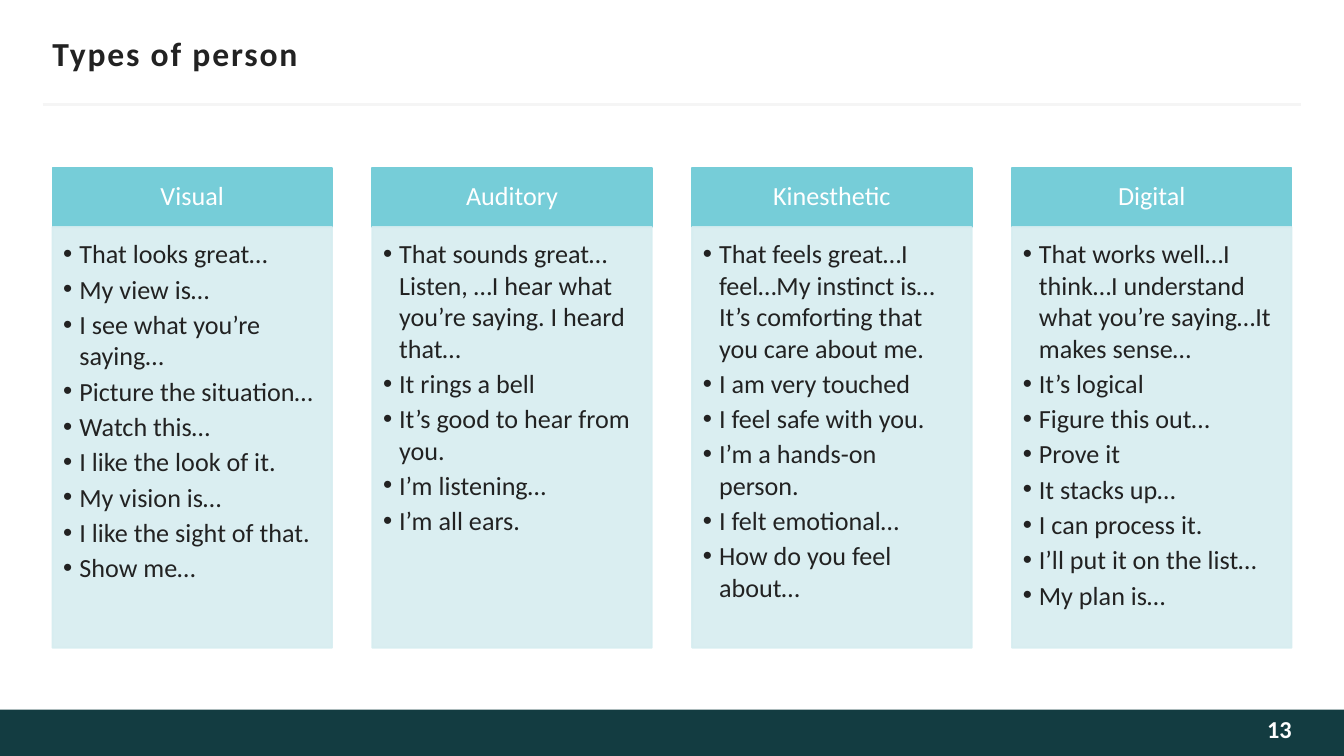
import pptx
import pptx.util
import pptx.dml.color
import pptx.enum.shapes
import pptx.enum.text
import pptx.oxml.ns
import lxml.etree

Inches = pptx.util.Inches
Align = pptx.enum.text.PP_ALIGN
Anchor = pptx.enum.text.MSO_ANCHOR
RECTANGLE = pptx.enum.shapes.MSO_SHAPE.RECTANGLE
qn = pptx.oxml.ns.qn

COLORS = {
    "ink": "222222",
    "rule": "F5F5F5",
    "footer": "133C41",
    "number": "FEFEFE",
    "header": "76CDD8",
    "header_text": "FFFFFF",
    "body": "D6EDF0",
}

PHRASES = {
    "Visual": [
        "That looks great…", "My view is…", "I see what you’re saying…",
        "Picture the situation…", "Watch this…", "I like the look of it.",
        "My vision is…", "I like the sight of that.", "Show me…",
    ],
    "Auditory": [
        "That sounds great…Listen, …I hear what you’re saying. I heard that…",
        "It rings a bell", "It’s good to hear from you.", "I’m listening…", "I’m all ears.",
    ],
    "Kinesthetic": [
        "That feels great…I feel…My instinct is…It’s comforting that you care about me.",
        "I am very touched", "I feel safe with you.", "I’m a hands-on person.",
        "I felt emotional…", "How do you feel about…",
    ],
    "Digital": [
        "That works well…I think…I understand what you’re saying…It makes sense…",
        "It’s logical", "Figure this out…", "Prove it", "It stacks up…",
        "I can process it.", "I’ll put it on the list…", "My plan is…",
    ],
}


def add_box(left, top, width, height, color, opacity=100):
    shape = slide.shapes.add_shape(RECTANGLE, *map(Inches, (left, top, width, height)))
    shape.shadow.inherit = False
    shape.fill.solid()
    shape.line.fill.solid()
    shape.line.width = pptx.util.Pt(1)
    for fill in (shape.fill, shape.line.fill):
        fill.fore_color.rgb = pptx.dml.color.RGBColor.from_string(COLORS[color])
    if opacity < 100:
        for tint in shape._element.spPr.iter(qn("a:srgbClr")):
            lxml.etree.SubElement(tint, qn("a:alpha")).set("val", str(opacity * 1000))
    return shape


def write(shape, lines, color, size, insets, anchor, paragraph_format, bold=False, bullet=False):
    frame = shape.text_frame
    sides = ("margin_left", "margin_top", "margin_right", "margin_bottom")
    frame_format = dict(zip(sides, map(Inches, insets)))
    frame_format.update(word_wrap=True, vertical_anchor=anchor)
    for name, value in frame_format.items():
        setattr(frame, name, value)
    for index, line in enumerate(lines):
        paragraph = frame.add_paragraph() if index else frame.paragraphs[0]
        if bullet:
            properties = paragraph._p.get_or_add_pPr()
            properties.set("marL", str(Inches(0.12)))
            properties.set("indent", str(Inches(-0.12)))
            lxml.etree.SubElement(properties, qn("a:buFont")).set("typeface", "Arial")
            lxml.etree.SubElement(properties, qn("a:buChar")).set("char", "•")
        for name, value in paragraph_format.items():
            setattr(paragraph, name, value)
        run = paragraph.add_run()
        run.text = line
        font_format = {"name": "Calibri", "size": pptx.util.Pt(size), "bold": bold}
        for name, value in font_format.items():
            setattr(run.font, name, value)
        run.font.color.rgb = pptx.dml.color.RGBColor.from_string(COLORS[color])


presentation = pptx.Presentation()
presentation.slide_width = Inches(10)
presentation.slide_height = presentation.slide_width * 9 // 16
slide = presentation.slides.add_slide(presentation.slide_layouts[5])

margin = 0.39
content_width = 10 - 2 * margin
column_width = 2.08
column_step = (content_width - column_width) / (len(PHRASES) - 1)
header_top, header_height, body_height = 1.25, 0.44, 3.13
footer_top, footer_height = 5.28, 0.35

footer = add_box(0, footer_top, 10, footer_height, "footer")
footer.line.fill.background()
write(footer, ["13"], "number", 13, (0.1, 0.05, margin, 0.09), Anchor.MIDDLE,
      {"alignment": Align.RIGHT, "line_spacing": 0.9}, bold=True)

rule = slide.shapes.add_connector(
    pptx.enum.shapes.MSO_CONNECTOR.STRAIGHT, *map(Inches, (0.32, 0.78, 9.68, 0.78)))
rule.line.color.rgb = pptx.dml.color.RGBColor.from_string(COLORS["rule"])
rule.line.width = pptx.util.Pt(1.5)
lxml.etree.SubElement(rule._element.spPr, qn("a:effectLst"))

title = slide.shapes.title
title_place = {"left": margin, "top": 0.25, "width": content_width, "height": 0.33}
for name, value in title_place.items():
    setattr(title, name, Inches(value))
write(title, ["Types of person"], "ink", 18, (0, 0.05, 0, 0.05), Anchor.MIDDLE,
      {"alignment": Align.LEFT, "line_spacing": 0.9}, bold=True)
title.text_frame.paragraphs[0].runs[0].font._element.set("spc", "100")

for column, (person, phrases) in enumerate(PHRASES.items()):
    left = margin + column * column_step
    header = add_box(left, header_top, column_width, header_height, "header")
    write(header, [person], "header_text", 14, (0.11, 0.06, 0.11, 0.06), Anchor.MIDDLE,
          {"alignment": Align.CENTER, "line_spacing": 0.9})
    body = add_box(left, header_top + header_height, column_width, body_height, "body", opacity=90)
    write(body, phrases, "ink", 14, (0.08, 0.08, 0.11, 0.12), Anchor.TOP,
          {"alignment": Align.LEFT, "level": 1, "space_after": pptx.util.Pt(2.1)}, bullet=True)

presentation.save("out.pptx")
